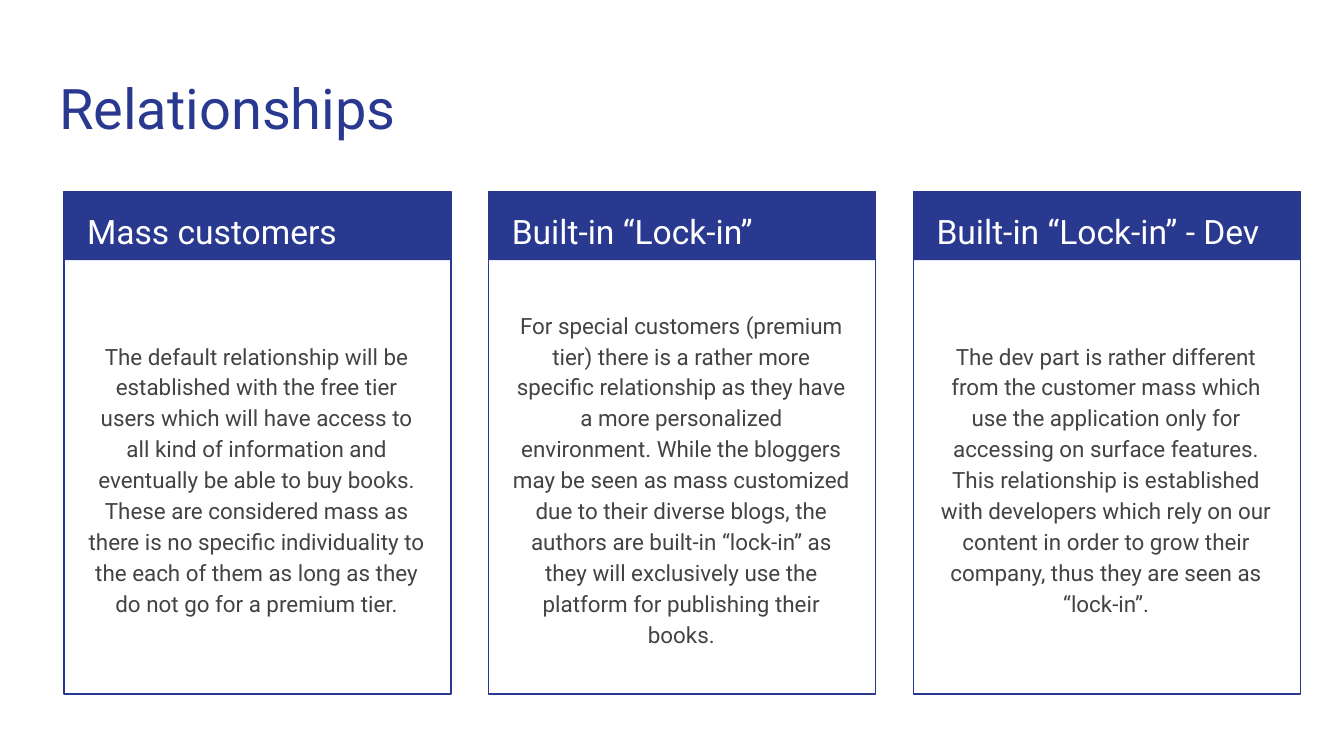
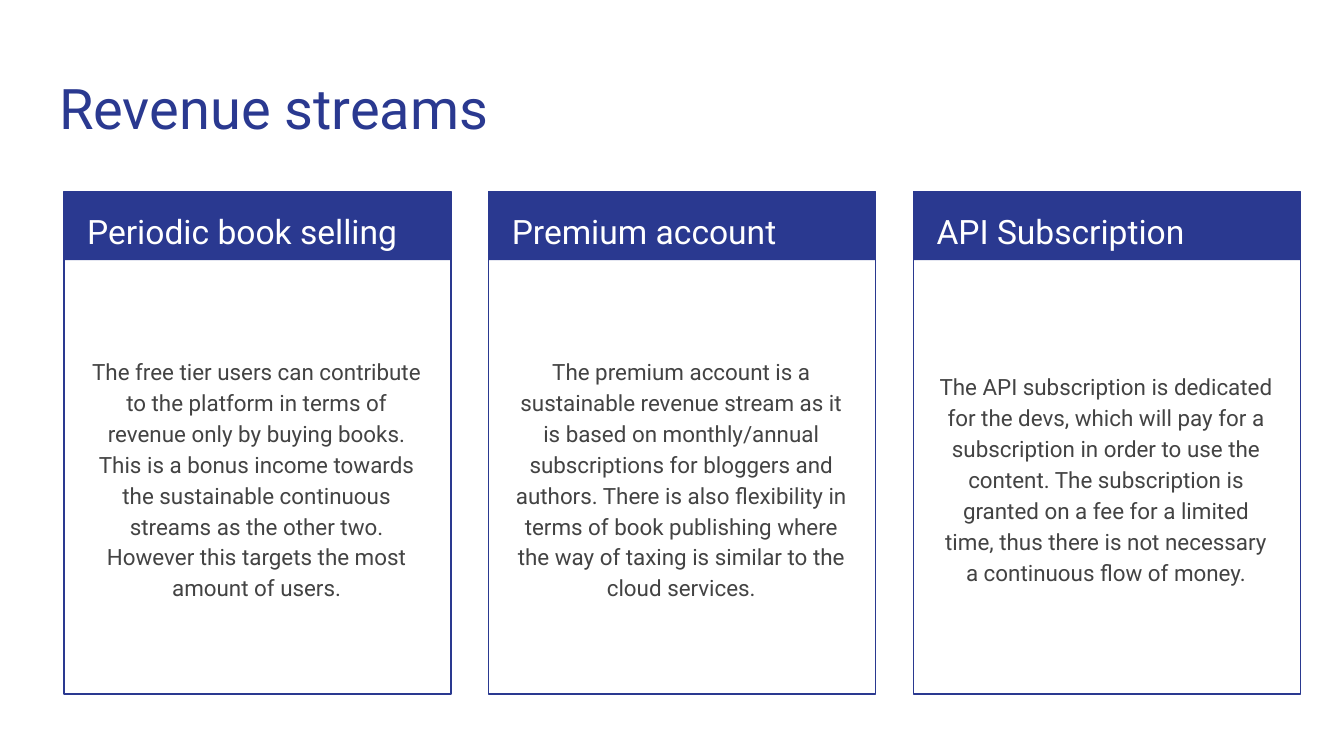
import pptx
import pptx.util
import pptx.dml.color
import pptx.enum.shapes
import pptx.enum.text

PX = 4572  # EMU per px, 200 px to the inch
FONT = "Roboto"
COLORS = {"navy": "2A3990", "white": "FFFFFF", "text": "434343"}
RGB = {name: pptx.dml.color.RGBColor.from_string(c) for name, c in COLORS.items()}
ALIGN = pptx.enum.text.PP_ALIGN
ANCHOR = pptx.enum.text.MSO_ANCHOR
RECT = pptx.enum.shapes.MSO_SHAPE.RECTANGLE

# Card grid
LEFT, TOP, STEP = 95, 285, 632
CARD_W, CARD_H, HEAD_H = 576, 748, 102

SLIDES = [
    ("Relationships", [
        ("Mass customers",
         "The default relationship will be established with the free tier users which "
         "will have access to all kind of information and eventually be able to buy "
         "books. These are considered mass as there is no specific individuality to the "
         "each of them as long as they do not go for a premium tier."),
        ("Built-in “Lock-in”",
         "For special customers (premium tier) there is a rather more specific "
         "relationship as they have a more personalized environment. While the bloggers "
         "may be seen as mass customized due to their diverse blogs, the authors are "
         "built-in “lock-in” as they will exclusively use the platform for publishing "
         "their books."),
        ("Built-in “Lock-in” - Dev",
         "The dev part is rather different from the customer mass which use the "
         "application only for accessing on surface features. This relationship is "
         "established with developers which rely on our content in order to grow their "
         "company, thus they are seen as “lock-in”."),
    ]),
    ("Revenue streams", [
        ("Periodic book selling",
         "The free tier users can contribute to the platform in terms of revenue only "
         "by buying books. This is a bonus income towards the sustainable continuous "
         "streams as the other two. However this targets the most amount of users."),
        ("Premium account",
         "The premium account is a sustainable revenue stream as it is based on "
         "monthly/annual subscriptions for bloggers and authors. There is also "
         "flexibility in terms of book publishing where the way of taxing is similar "
         "to the cloud services."),
        ("API Subscription",
         "The API subscription is dedicated for the devs, which will pay for a "
         "subscription in order to use the content. The subscription is granted on a "
         "fee for a limited time, thus there is not necessary a continuous flow of "
         "money."),
    ]),
]


def box(*px):
    return [pptx.util.Emu(v * PX) for v in px]


def write(sp, text, size, color, align=ALIGN.LEFT, anchor=ANCHOR.TOP, spacing=1.0):
    tf = sp.text_frame
    tf.text = text
    tf.word_wrap = True
    tf.auto_size = pptx.enum.text.MSO_AUTO_SIZE.NONE
    tf.vertical_anchor = anchor
    tf.margin_left = tf.margin_right = tf.margin_top = tf.margin_bottom = 20 * PX
    p = tf.paragraphs[0]
    p.alignment = align
    p.line_spacing = spacing
    font = p.runs[0].font
    font.name = FONT
    font.size = pptx.util.Pt(size)
    font.color.rgb = RGB[color]
    return p


prs = pptx.Presentation()
prs.slide_width, prs.slide_height = box(2000, 1125)

for title, cards in SLIDES:
    s = prs.slides.add_slide(prs.slide_layouts[5])

    # Title
    sp = s.shapes.title
    sp.left, sp.top, sp.width, sp.height = box(68, 90, 1864, 132)
    write(sp, title, 30, "navy")

    for i, (heading, body) in enumerate(cards):
        x = LEFT + i * STEP

        # Header band and outline
        grp = s.shapes.add_group_shape()
        band = grp.shapes.add_shape(RECT, *box(x, TOP, CARD_W, HEAD_H))
        band.fill.solid()
        band.fill.fore_color.rgb = RGB["navy"]
        band.line.fill.background()
        frame = grp.shapes.add_shape(RECT, *box(x, TOP, CARD_W, CARD_H))
        frame.fill.background()
        frame.line.color.rgb = RGB["navy"]
        frame.line.width = pptx.util.Pt(0.75)
        for sp in (band, frame):
            sp.shadow.inherit = False

        # Heading and body text
        sp = s.shapes.add_textbox(*box(x + 15, TOP, 546, 100))
        write(sp, heading, 18, "white", spacing=1.15)
        sp = s.shapes.add_textbox(*box(x + 16, 405, 542, 612))
        p = write(sp, body, 12, "text", ALIGN.CENTER, ANCHOR.MIDDLE, 1.15)
        p.space_after = pptx.util.Pt(16)

prs.save("out.pptx")
